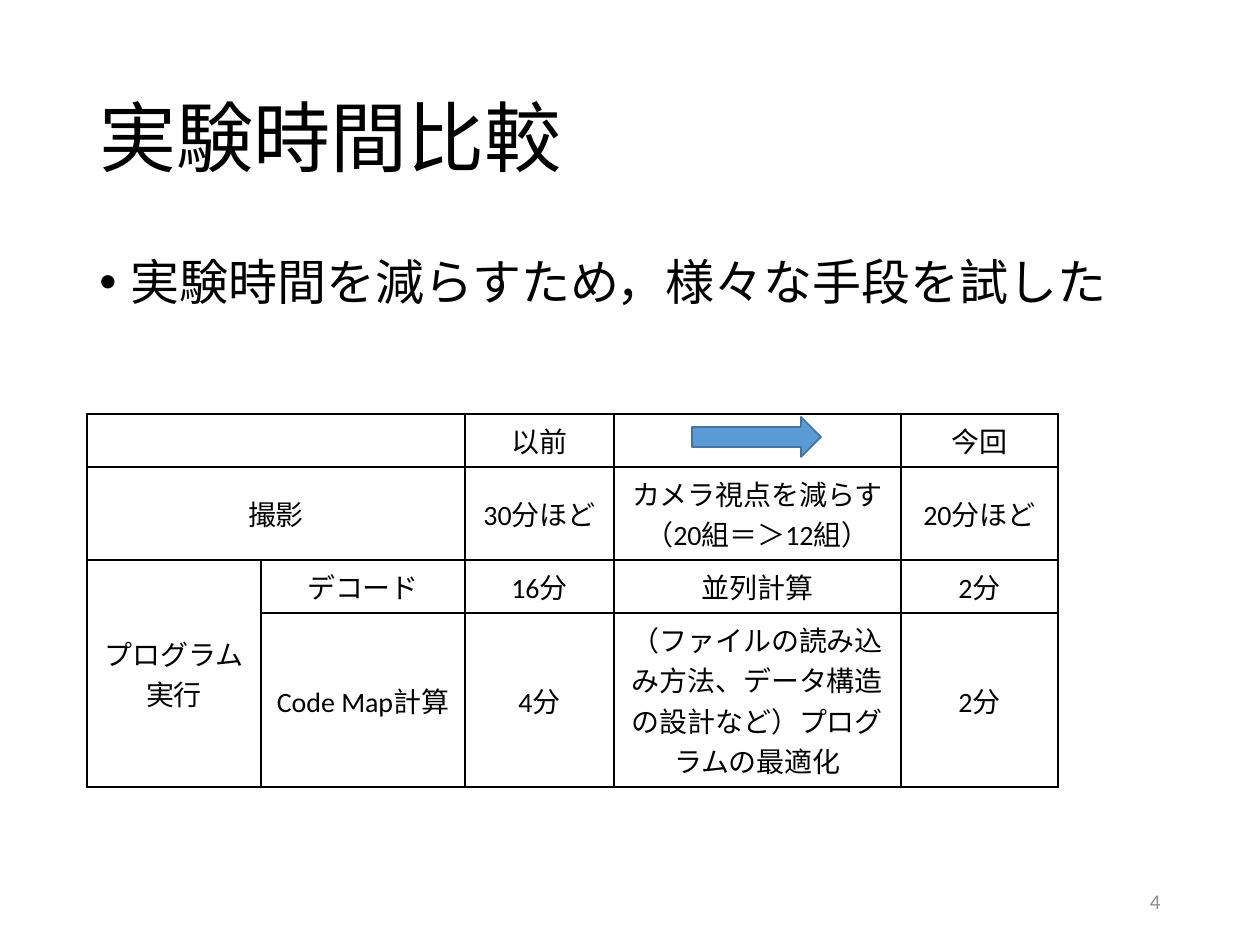
from dataclasses import dataclass
from lxml.etree import SubElement
from pptx import Presentation
from pptx.dml.color import RGBColor as Rgb
from pptx.enum.shapes import MSO_SHAPE as Shape
from pptx.enum.text import MSO_ANCHOR as Anchor, PP_ALIGN as Align
from pptx.oxml.ns import qn
from pptx.util import Emu, Pt


@dataclass(frozen=True)
class Theme:
    font: str = "Calibri"
    ink: str = "000000"
    muted: str = "8C8C8C"
    fill: str = "5B9BD5"
    edge: str = "43739E"
    title: int = 44
    body: int = 28
    cell: int = 16
    small: int = 12


THEME = Theme()
COLS = [174, 204, 149, 287, 157]
ROWS = [53, 93, 53, 174]
CELLS = [
    ["", "", "以前", "", "今回"],
    ["撮影", "", "30分ほど", "カメラ視点を減らす\n（20組＝＞12組）", "20分ほど"],
    ["プログラム実行", "デコード", "16分", "並列計算", "2分"],
    ["", "Code Map計算", "4分",
     "（ファイルの読み込み方法、データ構造の設計など）プログラムの最適化", "2分"],
]
MERGES = [((0, 0), (0, 1)), ((1, 0), (1, 1)), ((2, 0), (3, 0))]


def px(n):
    return Emu(round(n * 914400 / 126))


def style(frame, size, color=THEME.ink, align=Align.LEFT):
    for para in frame.paragraphs:
        para.alignment = align
        for run in para.runs:
            run.font.name = THEME.font
            run.font.size = Pt(size)
            run.font.color.rgb = Rgb.from_string(color)


def add_text(slide, box, text, size, anchor=Anchor.MIDDLE, **look):
    frame = slide.shapes.add_textbox(*map(px, box)).text_frame
    frame.word_wrap = True
    frame.vertical_anchor = anchor
    frame.text = text
    style(frame, size, **look)
    return frame.paragraphs[0]


def add_bullet(para, indent):
    props = para._p.get_or_add_pPr()
    props.set("marL", str(indent))
    props.set("indent", str(-indent))
    SubElement(props, qn("a:buFont"), typeface="Arial")
    SubElement(props, qn("a:buChar"), char="•")


def add_edges(cell):
    """Draw a thin line on all four sides of the cell."""
    props = cell._tc.get_or_add_tcPr()
    for side in "LRTB":
        line = SubElement(props, qn(f"a:ln{side}"), w=str(Pt(1)))
        fill = SubElement(line, qn("a:solidFill"))
        SubElement(fill, qn("a:srgbClr"), val=THEME.ink)


def add_grid(slide, left, top):
    box = map(px, (left, top, sum(COLS), sum(ROWS)))
    table = slide.shapes.add_table(len(ROWS), len(COLS), *box).table
    table.first_row = table.horz_banding = False
    for col, width in zip(table.columns, COLS):
        col.width = px(width)
    for row, height, texts in zip(table.rows, ROWS, CELLS):
        row.height = px(height)
        for cell, text in zip(row.cells, texts):
            add_edges(cell)
            cell.fill.background()
            cell.vertical_anchor = Anchor.MIDDLE
            cell.text_frame.text = text
            style(cell.text_frame, THEME.cell, align=Align.CENTER)
    for start, end in MERGES:
        table.cell(*start).merge(table.cell(*end))


def add_arrow(slide, box):
    arrow = slide.shapes.add_shape(Shape.RIGHT_ARROW, *map(px, box))
    arrow.shadow.inherit = False
    arrow.fill.solid()
    arrow.fill.fore_color.rgb = Rgb.from_string(THEME.fill)
    arrow.line.color.rgb = Rgb.from_string(THEME.edge)
    arrow.line.width = Pt(1)


def main():
    deck = Presentation()
    deck.slide_width, deck.slide_height = px(1260), px(945)
    slide = deck.slides.add_slide(deck.slide_layouts[6])

    title = add_text(slide, (87, 50, 1086, 183), "実験時間比較", THEME.title)
    title.line_spacing = 0.9
    add_text(slide, (890, 876, 283, 50), "4", THEME.small,
             color=THEME.muted, align=Align.RIGHT)
    point = add_text(slide, (87, 252, 1086, 600),
                     "実験時間を減らすため，様々な手段を試した",
                     THEME.body, Anchor.TOP)
    point.line_spacing = 0.9
    point.space_before = Pt(10)
    add_bullet(point, px(31.5))

    add_grid(slide, 87, 414)
    add_arrow(slide, (692, 417, 129, 40))
    deck.save("out.pptx")


if __name__ == "__main__":
    main()
